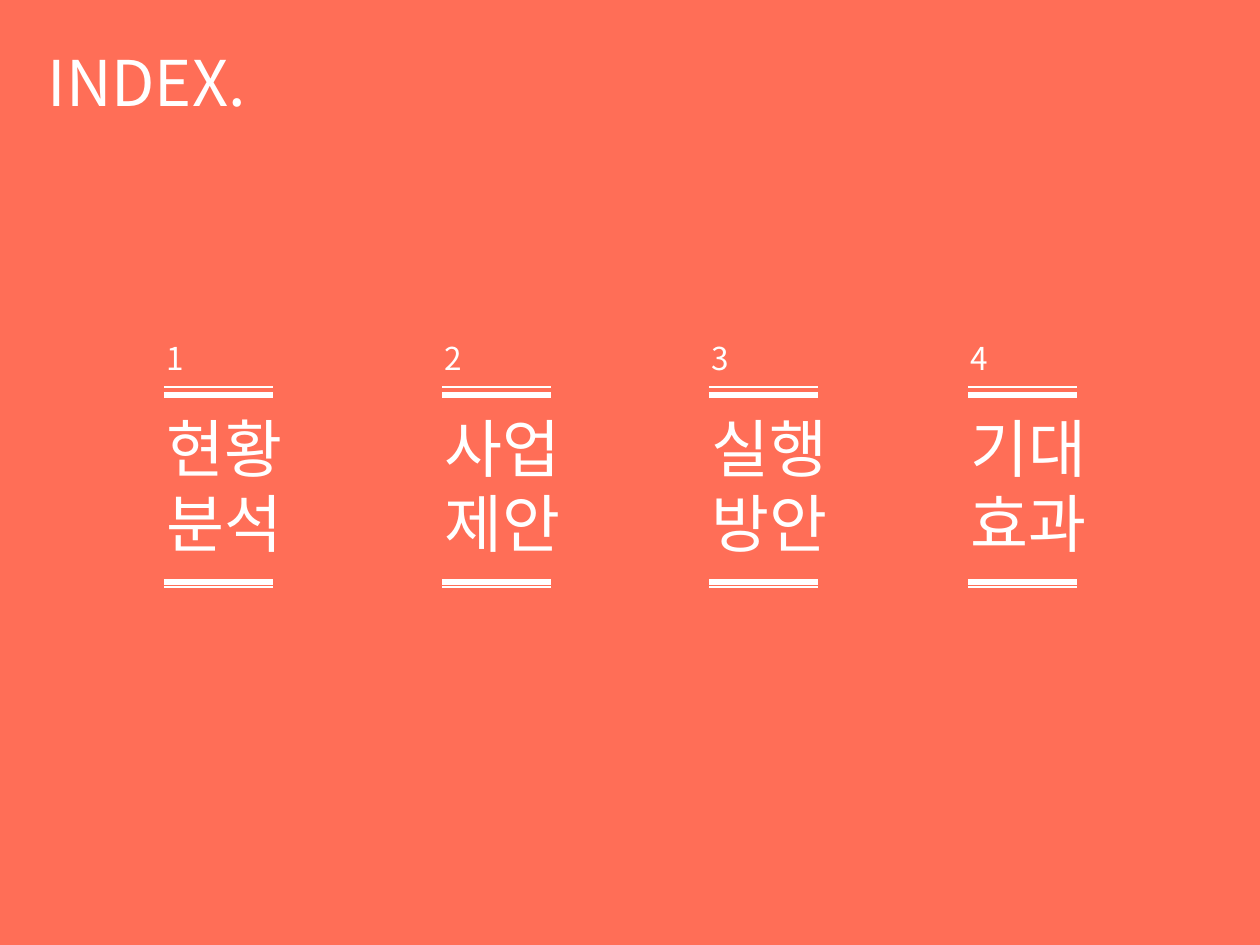
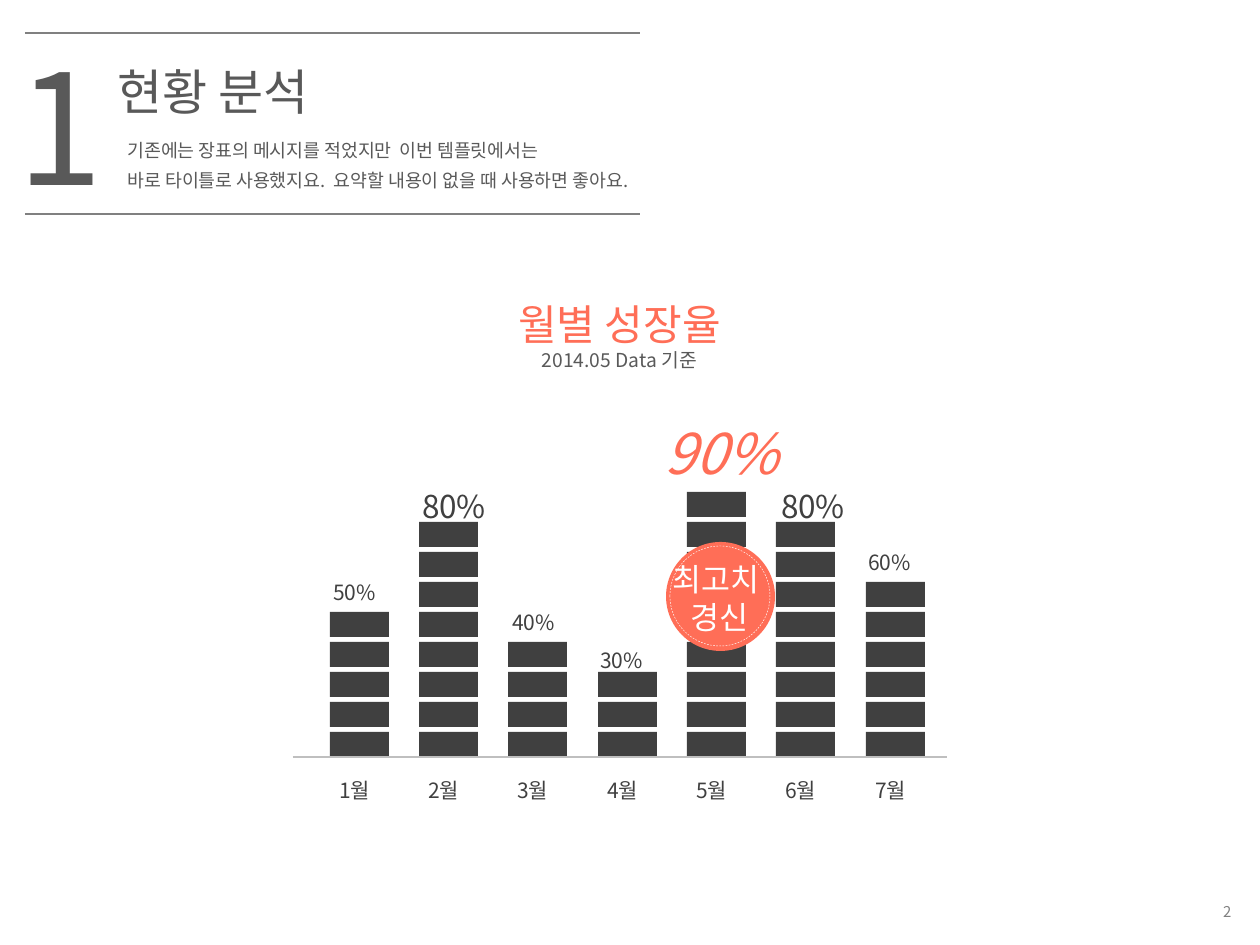
from lxml import etree
from pptx import Presentation
from pptx.dml.color import RGBColor
from pptx.enum.dml import MSO_LINE
from pptx.enum.shapes import MSO_CONNECTOR, MSO_SHAPE
from pptx.enum.text import MSO_ANCHOR, MSO_AUTO_SIZE, PP_ALIGN
from pptx.oxml.ns import qn
from pptx.util import Pt

STRAIGHT = MSO_CONNECTOR.STRAIGHT
RECTANGLE, OVAL = MSO_SHAPE.RECTANGLE, MSO_SHAPE.OVAL
DASH = MSO_LINE.DASH
TOP, MIDDLE = MSO_ANCHOR.TOP, MSO_ANCHOR.MIDDLE
NO_AUTOFIT = MSO_AUTO_SIZE.NONE
LEFT, CENTER, RIGHT = PP_ALIGN.LEFT, PP_ALIGN.CENTER, PP_ALIGN.RIGHT

CORAL = RGBColor(0xFF, 0x6E, 0x57)
WHITE = RGBColor(0xFF, 0xFF, 0xFF)
CHARCOAL = RGBColor(0x40, 0x40, 0x40)
DARK_GRAY = RGBColor(0x59, 0x59, 0x59)
GRAY = RGBColor(0x80, 0x80, 0x80)
LIGHT_GRAY = RGBColor(0xBF, 0xBF, 0xBF)
FONT = "Noto Sans CJK KR"
PX = 914400 / 126


def put_text(slide, box, lines, align=LEFT, holder=None):
    left, top, width, height = [round(v * PX) for v in box]
    if holder is None:
        holder = slide.shapes.add_textbox(left, top, width, height)
    holder.left, holder.top, holder.width, holder.height = left, top, width, height
    frame = holder.text_frame
    frame.word_wrap = True
    frame.auto_size = NO_AUTOFIT
    frame.vertical_anchor = TOP
    for i, (text, size, color) in enumerate(lines):
        paragraph = frame.add_paragraph() if i else frame.paragraphs[0]
        paragraph.alignment = align
        run = paragraph.add_run()
        run.text = text
        run.font.size = Pt(size)
        run.font.name = FONT
        run.font.color.rgb = color
        east_asian = etree.SubElement(run.font._element, qn("a:ea"))
        east_asian.set("typeface", FONT)
    return frame


def draw_rule(slide, left, right, y, color, weight=0.75):
    ends = [round(v * PX) for v in (left, y, right, y)]
    rule = slide.shapes.add_connector(STRAIGHT, *ends)
    rule.line.color.rgb = color
    rule.line.width = Pt(weight)
    etree.SubElement(rule._element.spPr, qn("a:effectLst"))


deck = Presentation()
deck.slide_width = round(1260 * PX)
deck.slide_height = round(945 * PX)
content_layout, title_layout = deck.slide_layouts[1], deck.slide_layouts[5]

index = deck.slides.add_slide(title_layout)
index.background.fill.solid()
index.background.fill.fore_color.rgb = CORAL
put_text(index, (35, 37, 427, 89), [("INDEX.", 36, WHITE)], holder=index.shapes.title)

chapters = [
    (154, "현황", "분석"),
    (432, "사업", "제안"),
    (699, "실행", "방안"),
    (958, "기대", "효과"),
]
for number, (left, first, second) in enumerate(chapters, 1):
    put_text(index, (left, 333, 159, 50), [(str(number), 18, WHITE)])
    put_text(index, (left, 403, 159, 165), [(first, 36, WHITE), (second, 36, WHITE)])
    for y, weight in [(387, 0.75), (395, 3), (582, 3), (587, 0.75)]:
        draw_rule(index, left + 10, left + 119, y, WHITE, weight)

growth = deck.slides.add_slide(content_layout)
put_text(growth, (105, 55, 566, 72), [("현황 분석", 28, DARK_GRAY)],
         holder=growth.shapes.title)
summary = put_text(growth, (115, 125, 576, 73), [
    ("기존에는 장표의 메시지를 적었지만  이번 템플릿에서는", 10.5, DARK_GRAY),
    ("바로 타이틀로 사용했지요.  요약할 내용이 없을 때 사용하면 좋아요.", 10.5, DARK_GRAY),
], holder=growth.placeholders[1])
for paragraph in summary.paragraphs:
    paragraph.line_spacing = Pt(17)
    paragraph.space_before = Pt(0)
    properties = paragraph._p.get_or_add_pPr()
    properties.set("marL", "0")
    properties.set("indent", "0")
    etree.SubElement(properties, qn("a:buNone"))
put_text(growth, (5, 25, 377, 199), [("1", 88, DARK_GRAY)])
for y in (33, 214):
    draw_rule(growth, 25, 640, y, GRAY)

put_text(growth, (471, 292, 297, 87), [
    ("월별 성장율", 24, CORAL),
    ("2014.05 Data 기준", 11, DARK_GRAY),
], CENTER)

months = [
    (50, (320, 573, 69, 38), 12),
    (80, (399, 481, 110, 50), 18),
    (40, (499, 603, 69, 38), 12),
    (30, (587, 641, 69, 38), 12),
    (90, (597, 412, 248, 81), 32),
    (80, (758, 481, 110, 50), 18),
    (60, (855, 543, 69, 38), 12),
]
peak = max(percent for percent, _, _ in months)
for i, (percent, label_box, size) in enumerate(months):
    bar_left = 330 + i * 536 // 6
    for level in range(percent // 10):
        block = growth.shapes.add_shape(
            RECTANGLE, *[round(v * PX) for v in (bar_left, 732 - level * 30, 59, 25)])
        block.shadow.inherit = False
        block.fill.solid()
        block.fill.fore_color.rgb = CHARCOAL
        block.line.fill.background()
    put_text(growth, (bar_left - 10, 771, 69, 38), [(f"{i + 1}월", 12, CHARCOAL)], CENTER)
    color = CORAL if percent == peak else CHARCOAL
    label = put_text(growth, label_box, [(f"{percent}%", size, color)], CENTER)
    label.paragraphs[0].runs[0].font.italic = percent == peak
draw_rule(growth, 293, 947, 757, LIGHT_GRAY)

for left, top, diameter, outlined in [(666, 542, 109, False), (670, 546, 100, True)]:
    badge = growth.shapes.add_shape(
        OVAL, *[round(v * PX) for v in (left, top, diameter, diameter)])
    badge.shadow.inherit = False
    badge.fill.solid()
    badge.fill.fore_color.rgb = CORAL
    if outlined:
        badge.line.color.rgb = WHITE
        badge.line.width = Pt(0.25)
        badge.line.dash_style = DASH
    else:
        badge.line.fill.background()
put_text(growth, (640, 554, 159, 89), [("최고치 ", 18, WHITE), ("경신", 18, WHITE)], CENTER)

page_number = put_text(growth, (978, 895, 266, 34), [("2", 8.5, GRAY)], RIGHT)
page_number.vertical_anchor = MIDDLE
field = page_number.paragraphs[0].runs[0]._r
field.tag = qn("a:fld")
field.set("id", "{B6F15528-21DE-4FAA-801E-634DDDAF4B2B}")
field.set("type", "slidenum")

deck.save("out.pptx")
